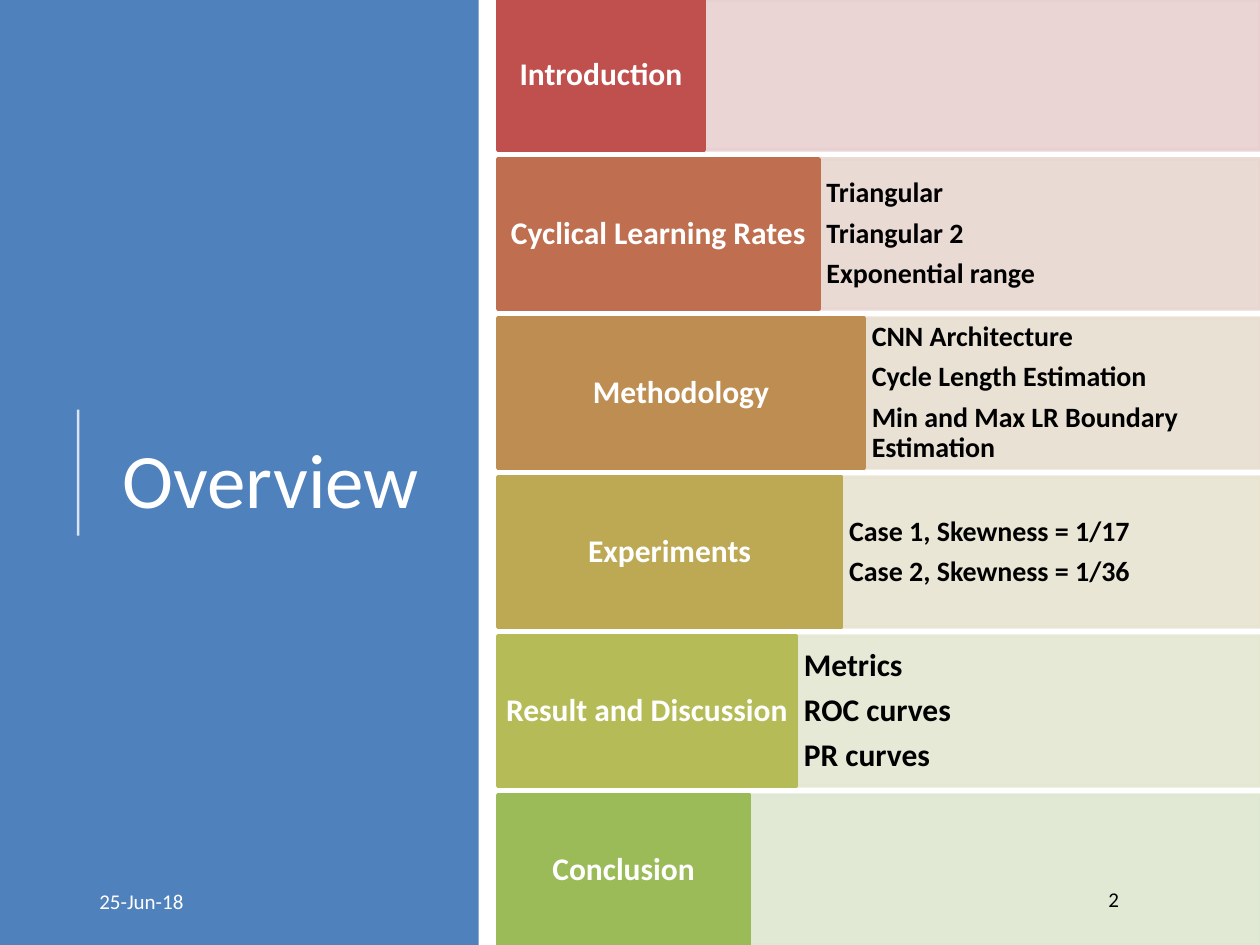
from pptx import Presentation
from pptx.dml.color import RGBColor
from pptx.enum import shapes, text
from pptx.oxml import ns, xmlchemy
from pptx.util import Inches, Pt

FONT = "Calibri"
HUES = {"panel": "4F81BD", "white": "FFFFFF", "black": "000000"}
ROWS = [
    ("Introduction", 1.64, "C0504D", "E8D0D0", 16, []),
    ("Cyclical Learning Rates", 2.55, "BF6F4F", "E8D7D0", 16,
     ["Triangular", "Triangular 2", "Exponential range"]),
    ("Methodology", 2.91, "BE8D52", "E8DED1", 16,
     ["CNN Architecture", "Cycle Length Estimation",
      "Min and Max LR Boundary Estimation"]),
    ("Experiments", 2.73, "BDA954", "E8E4D1", 16,
     ["Case 1, Skewness = 1/17", "Case 2, Skewness = 1/36"]),
    ("Result and Discussion", 2.37, "B5BC57", "E4E7D1", 18,
     ["Metrics", "ROC curves", "PR curves"]),
    ("Conclusion", 2.0, "9BBB59", "DEE7D1", 16, []),
]
WIDE, HIGH = 10, 7.5
LEFT, TALL = 3.95, 1.19
STEP = (HIGH - TALL) / (len(ROWS) - 1)


def fade(item, share):
    for hue in item._element.spPr.iter(ns.qn("a:srgbClr")):
        alpha = xmlchemy.OxmlElement("a:alpha")
        alpha.set("val", str(share * 1000))
        hue.append(alpha)


def block(slide, box, hue, edge=True, kind=shapes.MSO_SHAPE.RECTANGLE):
    item = slide.shapes.add_shape(kind, *map(Inches, box))
    item.shadow.inherit = False
    if hue:
        item.fill.solid()
        item.fill.fore_color.rgb = RGBColor.from_string(hue)
    else:
        item.fill.background()
    if edge:
        item.line.color.rgb = RGBColor.from_string(hue)
        item.line.width = Pt(2)
    else:
        item.line.fill.background()
    return item


def write(item, lines, size, hue, align, bold=False, after=0, lead=1.0, pad=None):
    frame = item.text_frame
    frame.text = "\n".join(lines)
    frame.word_wrap = True
    frame.vertical_anchor = text.MSO_ANCHOR.MIDDLE
    if pad is not None:
        frame.margin_left = frame.margin_right = Inches(pad)
        frame.margin_top = frame.margin_bottom = 0
    for para in frame.paragraphs:
        para.alignment = align
        para.line_spacing = lead
        para.space_after = Pt(after)
        for run in para.runs:
            run.font.name = FONT
            run.font.size = Pt(size)
            run.font.bold = bold
            run.font.color.rgb = RGBColor.from_string(HUES[hue])


def main():
    deck = Presentation()
    deck.slide_width, deck.slide_height = Inches(WIDE), Inches(HIGH)
    slide = deck.slides.add_slide(deck.slide_layouts[5])
    align = text.PP_ALIGN

    title = slide.shapes.title
    panel = block(slide, (0, 0, 3.8, HIGH), HUES["panel"], edge=False)
    title._element.addprevious(panel._element)
    title.left, title.top, title.width, title.height = map(
        Inches, (0.77, 0.78, 2.76, 6.02))
    write(title, ["Overview"], 44, "white", align.CENTER)

    rule = slide.shapes.add_connector(
        shapes.MSO_CONNECTOR.STRAIGHT, *map(Inches, (0.62, 4.25, 0.62, 3.25)))
    rule.line.color.rgb = RGBColor.from_string(HUES["white"])
    rule.line.width = Pt(1.5)
    fade(rule, 80)
    rule._element.spPr.append(xmlchemy.OxmlElement("a:effectLst"))

    for row, (name, width, dark, pale, size, points) in enumerate(ROWS):
        top, split = row * STEP, LEFT + width
        band = block(slide, (split, top, WIDE - split, TALL), pale)
        fade(band, 90)
        if points:
            write(band, points, size, "black", align.LEFT, True,
                  size * 0.35, 0.9, 0.06)
        head = block(slide, (LEFT, top, width, TALL), dark)
        write(head, [name], 18, "white", align.CENTER, True, 6.3, 0.9, 0.05)

    date = slide.shapes.add_textbox(*map(Inches, (0.69, 6.95, 2.25, 0.4)))
    write(date, ["25-Jun-18"], 12, "white", align.LEFT, after=6)
    page = block(slide, (7.06, 6.95, 2.25, 0.4), None, False,
                 shapes.MSO_SHAPE.OVAL)
    write(page, ["2"], 12, "black", align.RIGHT, after=6, lead=0.9)

    deck.save("out.pptx")


if __name__ == "__main__":
    main()
